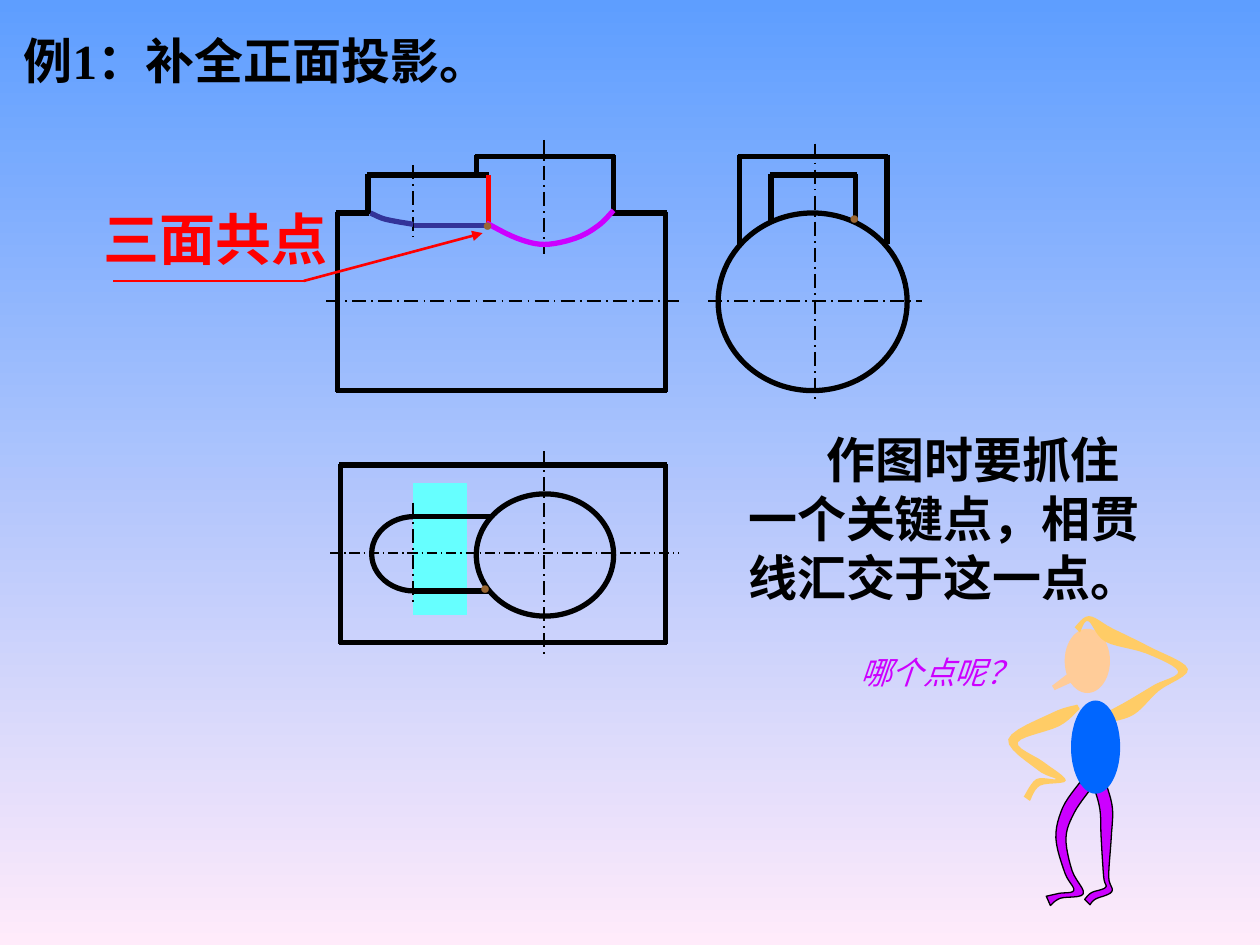
"""Build a slide on completing the front view of intersecting cylinders."""
from itertools import pairwise
from math import hypot
from typing import NamedTuple, Optional

from lxml.etree import SubElement
from pptx import Presentation
from pptx.dml.color import RGBColor
from pptx.enum.dml import MSO_LINE
from pptx.enum.shapes import MSO_CONNECTOR, MSO_SHAPE
from pptx.enum.text import MSO_ANCHOR, PP_ALIGN
from pptx.oxml.ns import qn
from pptx.util import Inches, Pt

COLUMNS, ROWS = 1000, 750
CELL = Inches(10) / COLUMNS

BLACK = RGBColor(0, 0, 0)
RED = RGBColor(0xFF, 0, 0)
MAGENTA = RGBColor(0xCC, 0, 0xFF)
INDIGO = RGBColor(0x33, 0x33, 0x99)
CYAN = RGBColor(0x66, 0xFF, 0xFF)
BROWN = RGBColor(0x99, 0x66, 0x33)
GOLD = RGBColor(0xFF, 0xCC, 0x66)
PEACH = RGBColor(0xFF, 0xCC, 0x99)
BLUE = RGBColor(0, 0x66, 0xFF)
SKY = RGBColor(0x5E, 0x9E, 0xFF)
BLUSH = RGBColor(0xFF, 0xEB, 0xFA)

SERIF, SANS = "Times New Roman", "Noto Sans CJK SC"
THICK, MEDIUM, THIN, HAIR = 3, 1.5, 1, 0.75


class Edge(NamedTuple):
    start: tuple
    end: tuple
    color: RGBColor = BLACK
    weight: float = THICK
    dashed: bool = False
    arrow: bool = False


class Region(NamedTuple):
    kind: MSO_SHAPE
    box: tuple
    fill: Optional[RGBColor] = None
    line: Optional[RGBColor] = BLACK
    weight: float = THICK


class Curve(NamedTuple):
    knots: list
    color: RGBColor


class Joint(NamedTuple):
    x: float
    y: float
    half_width: float


class Limb(NamedTuple):
    joints: list
    fill: RGBColor
    line: Optional[RGBColor] = None


class Caption(NamedTuple):
    words: str
    box: tuple
    size: float
    color: RGBColor = BLACK
    font: str = SERIF
    bold: bool = False
    italic: bool = False
    wrap: bool = False
    align: PP_ALIGN = PP_ALIGN.LEFT
    indent: float = 0


def cells(*values: float) -> list:
    """Convert grid cells to slide lengths."""
    return [round(value * CELL) for value in values]


def axis(start: tuple, end: tuple, weight: float = THIN) -> Edge:
    """Return a dash-dot centre line."""
    return Edge(start, end, weight=weight, dashed=True)


def outline(*corners: tuple, overlap: float = 1) -> list:
    """Join corners with edges that overlap to fill each corner."""
    edges = []
    for (x1, y1), (x2, y2) in pairwise(corners):
        length = hypot(x2 - x1, y2 - y1)
        dx, dy = overlap * (x2 - x1) / length, overlap * (y2 - y1) / length
        edges.append(Edge((x1 - dx, y1 - dy), (x2 + dx, y2 + dy)))
    return edges


def spline(knots: list, steps: int = 6) -> list:
    """Return points of a smooth curve through the knots."""
    padded = [knots[0], *knots, knots[-1]]
    points = [knots[0]]
    for a, b, c, d in zip(padded, padded[1:], padded[2:], padded[3:]):
        for t in (step / steps for step in range(1, steps + 1)):
            points.append(tuple(
                q + t * (r - p + t * (2 * p - 5 * q + 4 * r - s + t * (3 * (q - r) + s - p))) / 2
                for p, q, r, s in zip(a, b, c, d)))
    return points


def limb_contour(joints: list) -> list:
    """Return the contour that lies half a width to each side of the joints."""
    rails = [], []
    for before, joint, after in zip([joints[0], *joints], joints, [*joints[1:], joints[-1]]):
        dx, dy = after.x - before.x, after.y - before.y
        reach = joint.half_width / hypot(dx, dy)
        for rail, side in zip(rails, (reach, -reach)):
            rail.append((joint.x - side * dy, joint.y + side * dx))
    return spline(rails[0]) + spline(rails[1])[::-1]


def paint(shape, fill: Optional[RGBColor], line: Optional[RGBColor], weight: float) -> None:
    """Set the fill and line of a shape."""
    shape.shadow.inherit = False
    for target, color in ((shape.fill, fill), (shape.line.fill, line)):
        if color is None:
            target.background()
        else:
            target.solid()
            target.fore_color.rgb = color
    if line is not None:
        shape.line.width = Pt(weight)


def add_path(shapes, points: list, close: bool):
    """Add a freeform through the points."""
    start, *rest = [cells(*point) for point in points]
    builder = shapes.build_freeform(*start)
    builder.add_line_segments(rest, close=close)
    return builder.convert_to_shape()


def draw_edge(shapes, edge: Edge) -> None:
    """Draw a straight line."""
    connector = shapes.add_connector(MSO_CONNECTOR.STRAIGHT, *cells(*edge.start, *edge.end))
    connector.line.color.rgb = edge.color
    connector.line.width = Pt(edge.weight)
    if edge.dashed:
        connector.line.dash_style = MSO_LINE.LONG_DASH_DOT
    properties = connector.element.spPr
    if edge.arrow:
        SubElement(properties.find(qn("a:ln")), qn("a:headEnd"), type="triangle")
    SubElement(properties, qn("a:effectLst"))


def draw_region(shapes, region: Region) -> None:
    """Draw a preset shape."""
    shape = shapes.add_shape(region.kind, *cells(*region.box))
    paint(shape, region.fill, region.line, region.weight)


def draw_curve(shapes, curve: Curve) -> None:
    """Draw an open smooth curve."""
    paint(add_path(shapes, spline(curve.knots), False), None, curve.color, THICK)


def draw_limb(shapes, limb: Limb) -> None:
    """Draw a limb as a filled band."""
    paint(add_path(shapes, limb_contour(limb.joints), True), limb.fill, limb.line, HAIR)


def draw_caption(shapes, caption: Caption) -> None:
    """Draw a text box."""
    frame = shapes.add_textbox(*cells(*caption.box)).text_frame
    frame.word_wrap = caption.wrap
    frame.vertical_anchor = MSO_ANCHOR.MIDDLE
    paragraph = frame.paragraphs[0]
    paragraph.text = caption.words
    paragraph.alignment = caption.align
    if caption.indent:
        paragraph._p.get_or_add_pPr().set("indent", str(cells(caption.indent)[0]))
    font = paragraph.runs[0].font
    font.name, font.size = caption.font, Pt(caption.size)
    font.bold, font.italic = caption.bold, caption.italic
    font.color.rgb = caption.color


OVAL = MSO_SHAPE.OVAL
LEFT, RIGHT, TOP, BOTTOM = 268, 528, 169, 310
FRONT_AXIS, PLAN_AXIS, SIDE_AXIS = 239, 439, 647
PLAN_LEFT, PLAN_TOP, PLAN_BOTTOM = 270, 369, 510
TALL_LEFT, TALL_RIGHT, TALL_TOP, TALL_AXIS = 378, 487, 124, 432
LOW_LEFT, LOW_RIGHT, LOW_TOP, LOW_AXIS = 292, 388, 139, 328
SLOT_TOP, SLOT_BOTTOM, MEETING = 410, 469, 179

REGIONS = [
    Region(OVAL, (295, SLOT_TOP, 67, SLOT_BOTTOM - SLOT_TOP)),
    Region(MSO_SHAPE.RECTANGLE, (LOW_AXIS, 384, 42, 104), CYAN, CYAN, HAIR),
    Region(OVAL, (570, TOP, 150, BOTTOM - TOP)),
    Region(OVAL, (TALL_LEFT, 392, TALL_RIGHT - TALL_LEFT, 97)),
]
FRONT_VIEW = outline(
    (LEFT, TOP), (LEFT, BOTTOM), (RIGHT, BOTTOM), (RIGHT, TOP), (TALL_RIGHT, TOP),
    (TALL_RIGHT, TALL_TOP), (TALL_LEFT, TALL_TOP), (TALL_LEFT, LOW_TOP), (LOW_LEFT, LOW_TOP),
    (LOW_LEFT, TOP), (LEFT, TOP),
) + [
    Edge((TALL_LEFT, LOW_TOP), (LOW_RIGHT, LOW_TOP)),
    Edge((LOW_RIGHT, MEETING), (LOW_RIGHT, LOW_TOP), RED),
    Edge((LOW_AXIS, MEETING), (LOW_RIGHT, MEETING), INDIGO),
    axis((259, FRONT_AXIS), (540, FRONT_AXIS)),
    axis((TALL_AXIS, 111), (TALL_AXIS, 202)),
    axis((LOW_AXIS, 131), (LOW_AXIS, 188)),
]
PLAN_VIEW = outline(
    (PLAN_LEFT, PLAN_TOP), (PLAN_LEFT, PLAN_BOTTOM), (RIGHT, PLAN_BOTTOM), (RIGHT, PLAN_TOP),
    (PLAN_LEFT, PLAN_TOP),
) + [
    Edge((LOW_AXIS, SLOT_TOP), (391, SLOT_TOP)),
    Edge((LOW_AXIS, SLOT_BOTTOM), (389, SLOT_BOTTOM)),
    axis((TALL_AXIS, 358), (TALL_AXIS, 522)),
    axis((LOW_AXIS, 399), (LOW_AXIS, 481)),
    axis((262, PLAN_AXIS), (539, PLAN_AXIS), HAIR),
]
SIDE_VIEW = [
    *outline((587, 193), (587, TALL_TOP), (704, TALL_TOP), (704, 193)),
    *outline((612, 175), (612, LOW_TOP), (679, LOW_TOP), (679, 175)),
    axis((SIDE_AXIS, 114), (SIDE_AXIS, 318)),
    axis((562, FRONT_AXIS), (732, FRONT_AXIS)),
]
LEADER = [
    Edge((383, 185), (241, 223), RED, MEDIUM, arrow=True),
    Edge((242, 223), (90, 223), RED, MEDIUM),
]
INTERSECTIONS = [
    Curve([(487, 167), (475, 179), (457, 189), (432, 194), (410, 189), (386, 177)], MAGENTA),
    Curve([(294, 169), (306, 174), (LOW_AXIS, 178)], INDIGO),
]
HIP_ARM = [Joint(856, 561, 2), Joint(838, 571, 6), Joint(804, 588, 4), Joint(826, 608, 4),
           Joint(842, 619, 4), Joint(824, 621, 3), Joint(815, 634, 3)]
HEAD_ARM = [Joint(878, 570, 4), Joint(897, 562, 6), Joint(918, 546, 3), Joint(939, 532, 4),
            Joint(911, 516, 3), Joint(880, 504, 6), Joint(864, 491, 2), Joint(855, 500, 3)]
RIGHT_LEG = [Joint(873, 623, 5), Joint(878, 642, 5), Joint(878, 665, 4), Joint(878, 696, 2),
             Joint(880, 706, 3), Joint(868, 711, 3), Joint(863, 716, 3)]
LEFT_LEG = [Joint(861, 624, 5), Joint(848, 643, 5), Joint(842, 665, 4), Joint(848, 692, 3),
            Joint(856, 708, 4), Joint(841, 711, 2), Joint(832, 715, 4)]
NOSE = [Joint(851, 537, 4), Joint(836, 546, 2)]
LIMBS = [Limb(HIP_ARM, GOLD), Limb(RIGHT_LEG, MAGENTA, BLACK), Limb(LEFT_LEG, MAGENTA, BLACK),
         Limb(NOSE, PEACH)]
HEAD = Region(OVAL, (845, 499, 36, 51), PEACH, None)
TORSO = Region(OVAL, (850, 556, 39, 74), BLUE, None)

SHARED_POINTS = [(387, 178), (385, 466), (678, 173)]
DOT_WIDTH, DOT_HEIGHT = 28, 27
CAPTIONS = [
    Caption("例1：补全正面投影。", (9, 19, 443, 57), 28, bold=True, wrap=True),
    Caption("三面共点", (72, 157, 198, 64), 32, RED, bold=True, align=PP_ALIGN.CENTER),
    Caption("作图时要抓住一个关键点，相贯线汇交于这一点。", (584, 336, 353, 150), 28,
            bold=True, wrap=True, indent=62),
    Caption("哪个点呢？", (673, 513, 162, 41), 18, MAGENTA, SANS, italic=True),
] + [Caption("●", (x - DOT_WIDTH / 2, y - DOT_HEIGHT / 2, DOT_WIDTH, DOT_HEIGHT), 10, BROWN,
             align=PP_ALIGN.CENTER) for x, y in SHARED_POINTS]


def main() -> None:
    """Build and save the slide."""
    deck = Presentation()
    deck.slide_width, deck.slide_height = cells(COLUMNS, ROWS)
    slide = deck.slides.add_slide(deck.slide_layouts[6])
    backdrop = slide.background.fill
    backdrop.gradient()
    backdrop.gradient_angle = 270
    for stop, color in zip(backdrop.gradient_stops, (SKY, BLUSH)):
        stop.color.rgb = color
    for draw, parts in ((draw_region, REGIONS),
                        (draw_edge, FRONT_VIEW + PLAN_VIEW + SIDE_VIEW),
                        (draw_curve, INTERSECTIONS),
                        (draw_edge, LEADER),
                        (draw_limb, LIMBS),
                        (draw_region, [HEAD]),
                        (draw_limb, [Limb(HEAD_ARM, GOLD)]),
                        (draw_region, [TORSO]),
                        (draw_caption, CAPTIONS)):
        for part in parts:
            draw(slide.shapes, part)
    deck.save("out.pptx")


if __name__ == "__main__":
    main()
